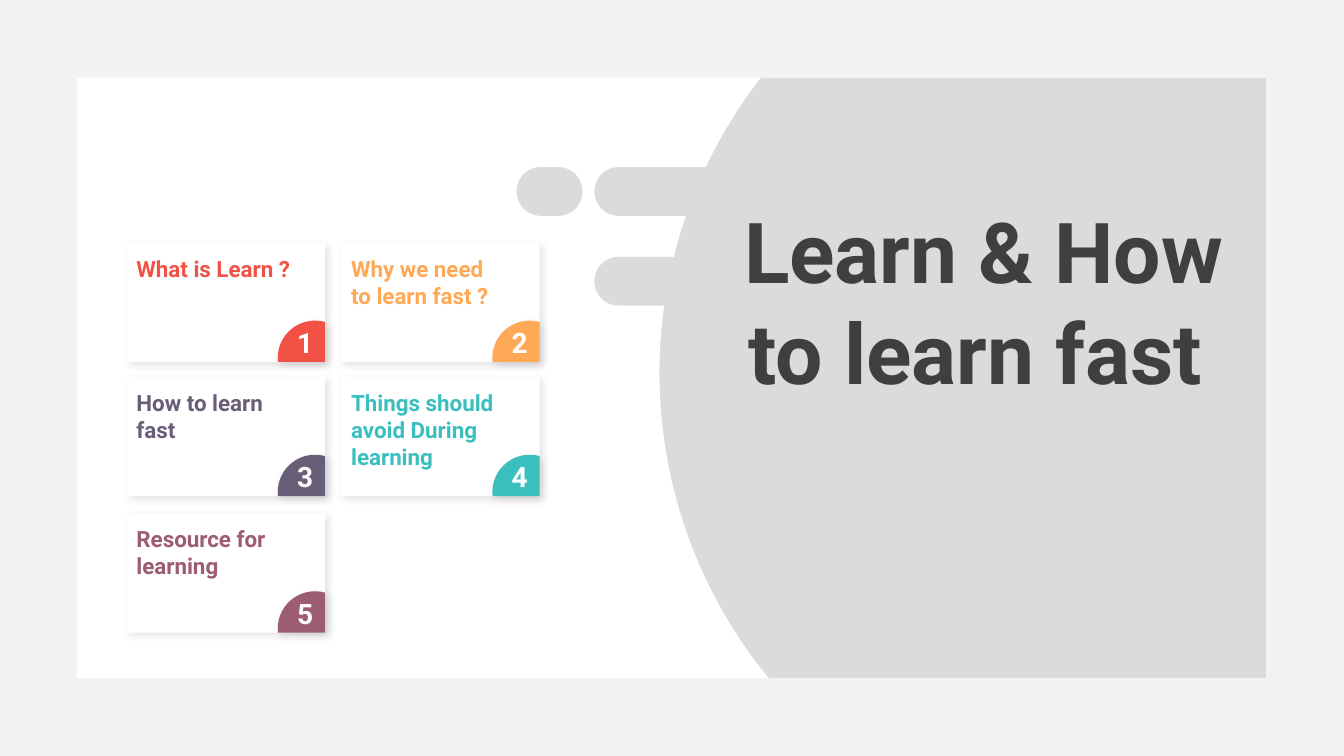
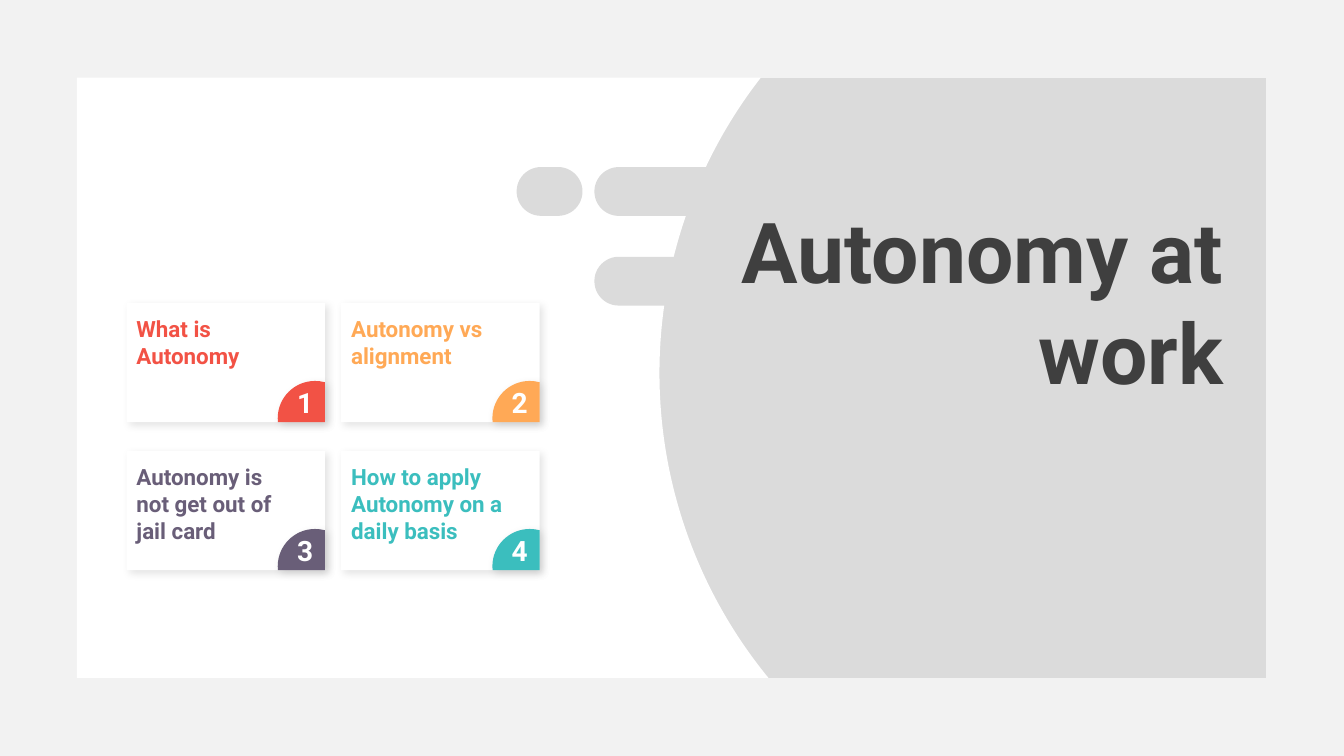
from itertools import pairwise
from math import asin, cos, pi, sin, tan

from lxml import etree
from pptx import Presentation
from pptx.dml.color import RGBColor
from pptx.enum.shapes import MSO_SHAPE
from pptx.enum.text import MSO_ANCHOR, PP_ALIGN
from pptx.oxml.ns import qn
from pptx.util import Cm, Pt

RECTANGLE = MSO_SHAPE.RECTANGLE
FRAME = MSO_SHAPE.FRAME
PILL = MSO_SHAPE.ROUNDED_RECTANGLE
ROUND_END = MSO_SHAPE.ROUND_2_SAME_RECTANGLE
TOP = MSO_ANCHOR.TOP
LEFT, CENTER, RIGHT = PP_ALIGN.LEFT, PP_ALIGN.CENTER, PP_ALIGN.RIGHT

FONT = "Roboto"
GREY = RGBColor(0xDB, 0xDB, 0xDB)
FRAME_GREY = RGBColor(0xF2, 0xF2, 0xF2)
WHITE = RGBColor(0xFF, 0xFF, 0xFF)
TITLE_GREY = RGBColor(0x3F, 0x3F, 0x3F)
RED = RGBColor(0xF2, 0x52, 0x45)
ORANGE = RGBColor(0xFF, 0xA9, 0x56)
PURPLE = RGBColor(0x69, 0x5E, 0x78)
TEAL = RGBColor(0x3B, 0xBE, 0xBE)
PLUM = RGBColor(0x9C, 0x5D, 0x71)
CARD_COLOURS = (RED, ORANGE, PURPLE, TEAL, PLUM)

# Lengths below are in centimetres.
SLIDE_W, SLIDE_H = 33.87, 19.05
PANEL_LEFT, PANEL_TOP, PANEL_BOTTOM = 1.94, 1.96, 17.08
CIRCLE_X, CIRCLE_Y, CIRCLE_R = 28.74, 9.4, 12.12
STUB_W, STUB_H = 3.12, 1.23
CARD_W, CARD_H = 5, 3
CARDS_LEFT, COLUMN_STEP, COLUMNS = 3.19, 5.41, 2
BADGE_X, BADGE_Y, BADGE_R = 4.75, 2.9, 0.94

# Title, tops of the card rows, card headings
SLIDES = (
    ("Learn & How to learn fast ", (6.12, 9.5, 12.94),
     ("What is Learn ?", "Why we need to learn fast ?", "How to learn fast",
      "Things should avoid During learning", "Resource for learning")),
    ("Autonomy at work", (7.64, 11.37),
     ("What is Autonomy", "Autonomy vs alignment",
      "Autonomy is not get out of jail card",
      "How to apply Autonomy on a daily basis")),
)


def paint(shape, colour):
    shape.fill.solid()
    shape.fill.fore_color.rgb = colour
    shape.line.fill.background()
    shape.shadow.inherit = False
    return shape


def add_block(shapes, kind, left, top, width, height, colour):
    shape = shapes.add_shape(kind, Cm(left), Cm(top), Cm(width), Cm(height))
    return paint(shape, colour)


def arc(x, y, radius, *angles):
    """Start point and Bézier curves; angle 0 is at the left, positive is down."""
    def point(angle, pull=0):
        return (x - radius * (cos(angle) - pull * sin(angle)),
                y + radius * (sin(angle) + pull * cos(angle)))

    curves = []
    for a, b in pairwise(angles):
        pull = 4 / 3 * tan((b - a) / 4)
        curves.append((point(a, pull), point(b, -pull), point(b)))
    return point(angles[0]), curves


def add_outline(shapes, start, pieces, colour):
    """Closed outline; a piece of one point is a line, of three a curve."""
    builder = shapes.build_freeform(Cm(start[0]), Cm(start[1]))
    builder.add_line_segments(
        [(Cm(x), Cm(y)) for piece in pieces for x, y in piece], close=True)
    shape = builder.convert_to_shape()
    steps = iter(list(shape._element.iter(qn("a:lnTo"))))
    for piece in pieces:
        first, *rest = [next(steps) for _ in piece]
        if rest:
            first.addprevious(etree.Element(qn("a:cubicBezTo")))
            curve = first.getprevious()
            for step in (first, *rest):
                curve.append(step[0])
                step.getparent().remove(step)
    return paint(shape, colour)


def add_soft_shadow(shape):
    effects = shape._element.spPr.find(qn("a:effectLst"))
    shadow = etree.SubElement(
        effects, qn("a:outerShdw"), blurRad=str(Pt(6)), dist=str(Pt(3)),
        dir=str(45 * 60000), algn="tl", rotWithShape="0")
    colour = etree.SubElement(shadow, qn("a:srgbClr"), val="000000")
    etree.SubElement(colour, qn("a:alpha"), val="11000")


def write(shape, text, size, colour, align):
    frame = shape.text_frame
    frame.word_wrap = True
    frame.vertical_anchor = TOP
    frame.text = text
    paragraph = frame.paragraphs[0]
    paragraph.alignment = align
    paragraph.font.name = FONT
    paragraph.font.size = Pt(size)
    paragraph.font.bold = True
    paragraph.font.color.rgb = colour


def add_label(shapes, left, top, width, height, *style):
    box = shapes.add_textbox(Cm(left), Cm(top), Cm(width), Cm(height))
    write(box, *style)


def add_stub(shapes, left, top):
    """Bar with a rounded left end, made by turning an upright one."""
    shift = (STUB_W - STUB_H) / 2
    stub = add_block(shapes, ROUND_END, left + shift, top - shift,
                     STUB_H, STUB_W, GREY)
    stub.adjustments[0] = 0.5
    stub.rotation = 270
    return stub


def draw_backdrop(shapes):
    frame = add_block(shapes, FRAME, 0, 0, SLIDE_W, SLIDE_H, FRAME_GREY)
    frame.adjustments[0] = 0.103
    edge_start, edge = arc(CIRCLE_X, CIRCLE_Y, CIRCLE_R,
                           asin((PANEL_TOP - CIRCLE_Y) / CIRCLE_R), 0,
                           asin((PANEL_BOTTOM - CIRCLE_Y) / CIRCLE_R))
    panel = add_outline(
        shapes, (PANEL_LEFT, PANEL_TOP),
        [(edge_start,), *edge, ((PANEL_LEFT, PANEL_BOTTOM),)], WHITE)
    stubs = [add_stub(shapes, 14.98, top) for top in (4.21, 6.47)]
    pill = add_block(shapes, PILL, 13.02, 4.21, 1.66, STUB_H, GREY)
    pill.adjustments[0] = 0.5
    return [frame, panel, *stubs, pill]


def share_backdrop(layout, slide):
    """Put the background and its decoration on the layout."""
    layout.background.fill.solid()
    layout.background.fill.fore_color.rgb = GREY
    for shape in draw_backdrop(slide.shapes):
        layout.shapes.element.append(shape.element)


def add_title(slide, text):
    title = slide.shapes.title
    title.left, title.top = Cm(17.49), Cm(4.9)
    title.width, title.height = Cm(13.59), Cm(8.1)
    write(title, text, 60, TITLE_GREY, RIGHT)


def add_card(slide, left, top, number, heading, colour):
    shapes = slide.shapes.add_group_shape().shapes
    card = add_block(shapes, RECTANGLE, left, top, CARD_W, CARD_H, WHITE)
    curve_start, curves = arc(left + BADGE_X, top + BADGE_Y, BADGE_R,
                              asin((CARD_H - BADGE_Y) / BADGE_R), 0, -pi / 2,
                              -pi / 2 - asin((CARD_W - BADGE_X) / BADGE_R))
    corner = (left + CARD_W, top + CARD_H)
    badge = add_outline(shapes, curve_start, [*curves, (corner,)], colour)
    for shape in (card, badge):
        add_soft_shadow(shape)
    add_label(shapes, left + 3.94, top + 1.96, 1.12, 1.12,
              str(number), 20, WHITE, CENTER)
    add_label(shapes, left, top + 0.18, 4.45, 2.5, heading, 16, colour, LEFT)


def add_cards(slide, row_tops, headings):
    for i, (heading, colour) in enumerate(zip(headings, CARD_COLOURS)):
        row, column = divmod(i, COLUMNS)
        add_card(slide, CARDS_LEFT + column * COLUMN_STEP, row_tops[row],
                 i + 1, heading, colour)


def main():
    deck = Presentation()
    deck.slide_width, deck.slide_height = Cm(SLIDE_W), Cm(SLIDE_H)
    layout = deck.slide_layouts.get_by_name("Title Only")
    for i, (title, row_tops, headings) in enumerate(SLIDES):
        slide = deck.slides.add_slide(layout)
        if i == 0:
            share_backdrop(layout, slide)
        add_title(slide, title)
        add_cards(slide, row_tops, headings)
    deck.save("out.pptx")


if __name__ == "__main__":
    main()
